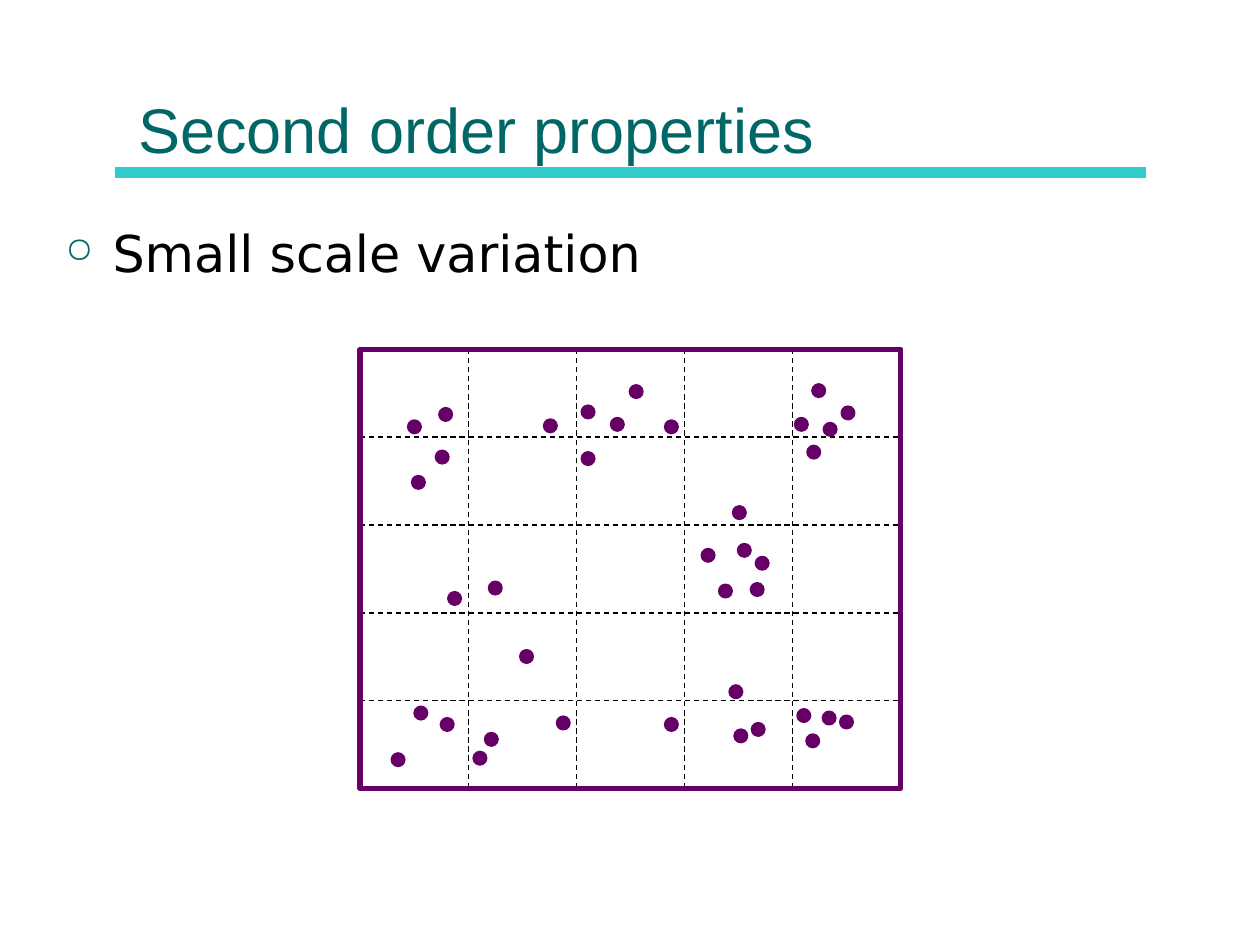
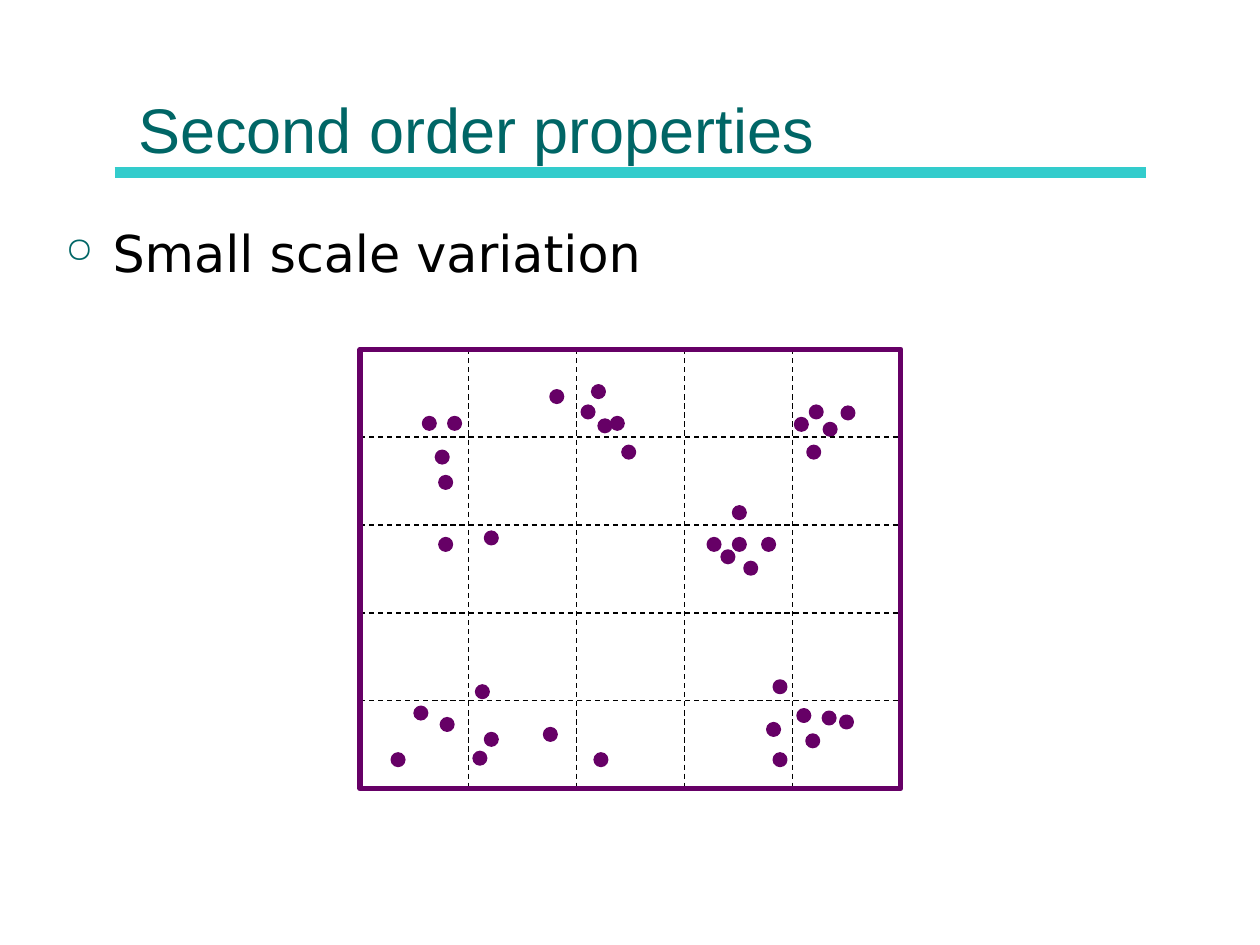
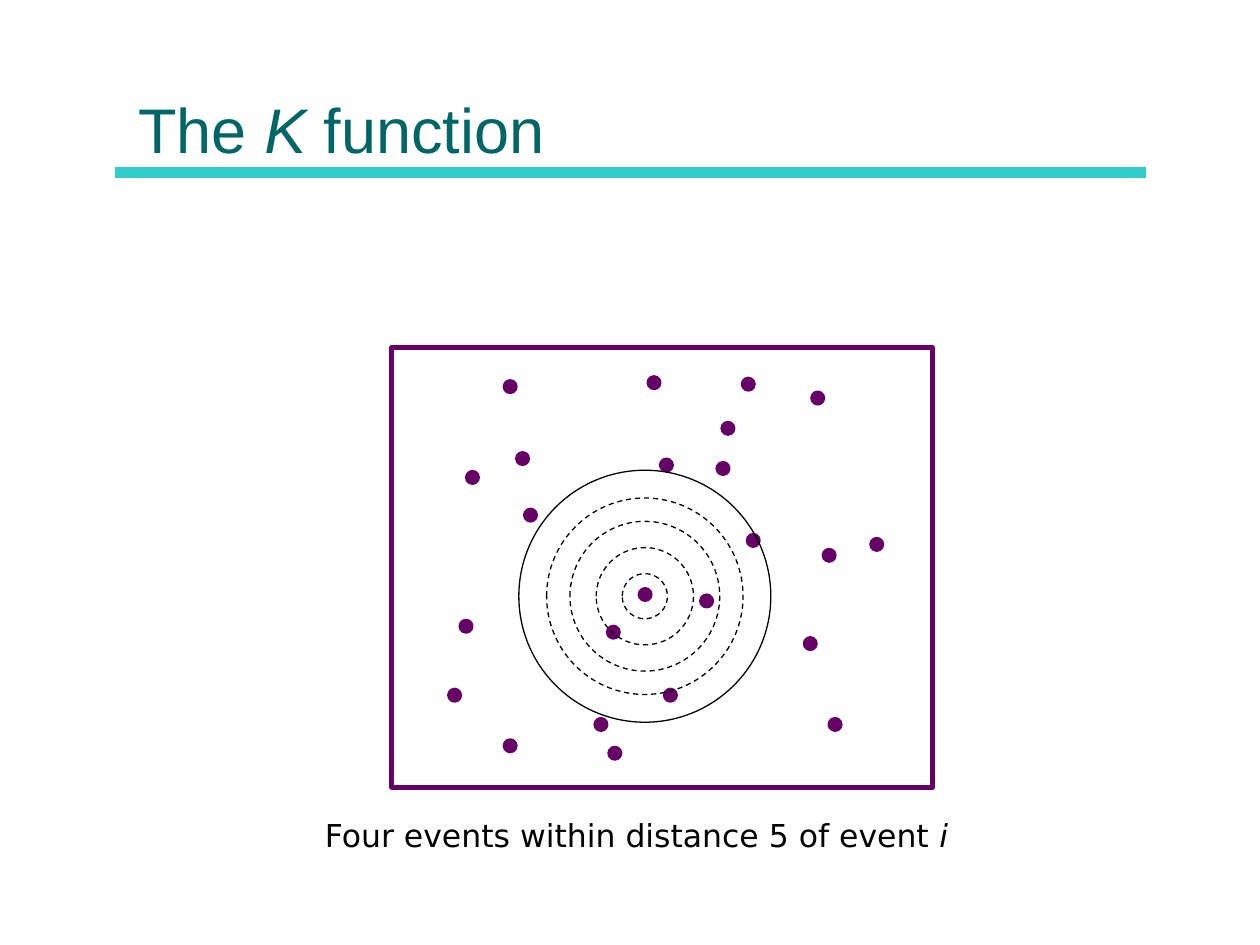
from dataclasses import dataclass
from typing import NamedTuple

from lxml.etree import SubElement
from pptx import Presentation
from pptx.dml.color import RGBColor
from pptx.enum.dml import MSO_LINE
from pptx.enum.shapes import MSO_CONNECTOR, MSO_SHAPE
from pptx.enum.text import MSO_ANCHOR, MSO_AUTO_SIZE
from pptx.oxml.ns import qn
from pptx.util import Cm, Pt


@dataclass(frozen=True)
class Theme:
    title_color: str = "006666"
    rule_color: str = "33CCCC"
    event_color: str = "660066"
    ink: str = "000000"
    title_font: str = "Arial"
    body_font: str = "DejaVu Sans"
    title_size: float = 36
    body_size: float = 29
    caption_size: float = 18
    rule_width: float = 6
    frame_width: float = 3
    event_width: float = 1.5
    thin_width: float = 0.75


THEME = Theme()


# Lengths in these records are centimetres
class Box(NamedTuple):
    left: float
    top: float
    width: float
    height: float

    def lengths(self) -> tuple:
        return tuple(Cm(value) for value in self)


class Point(NamedTuple):
    x: float
    y: float


class Span(NamedTuple):
    text: str
    italic: bool = False


class Ring(NamedTuple):
    diameter: float
    dashed: bool = True


TITLE_BOX = Box(2.54, 0.3, 20.32, 3.18)
BODY_BOX = Box(1.07, 4.34, 23.19, 11.43)
CAPTION_BOX = Box(6.3, 16.33, 13.18, 1.02)
GRID_FRAME = Box(7.26, 7.04, 10.9, 8.86)
K_FRAME = Box(7.9, 7.01, 10.9, 8.86)
GRID_CELLS = 5
EVENT_DIAMETER = 0.25
BULLET_INDENT = 0.95

# Top left corners of the event dots
SHARED_EVENTS = [
    (16.97, 8.2), (8.79, 9.09), (11.73, 8.18), (16.03, 8.43),
    (14.78, 10.21), (16.28, 8.99), (16.61, 8.53), (9.55, 15.16),
    (8.36, 14.25), (8.89, 14.48), (9.78, 14.78), (7.9, 15.19),
    (16.94, 14.43), (16.08, 14.3), (16.26, 14.81), (16.59, 14.35),
]
LOOSE_EVENTS = [
    (15.24, 11.23), (10.97, 8.46), (8.86, 8.23), (15.14, 11.76),
    (13.41, 8.48), (14.15, 11.07), (11.73, 9.12), (9.86, 11.73),
    (8.23, 8.48), (9.04, 11.94), (14.88, 10.97), (12.7, 7.77),
    (8.31, 9.6), (12.32, 8.43), (16.38, 7.75), (14.5, 11.79),
    (10.49, 13.11), (15.16, 14.58), (14.81, 14.71), (14.71, 13.82),
    (11.23, 14.45), (13.41, 14.48),
]
CLUSTERED_EVENTS = [
    (14.78, 10.85), (11.1, 7.87), (9.04, 8.41), (15.01, 11.33),
    (12.32, 8.41), (14.27, 10.85), (12.55, 8.99), (9.78, 10.72),
    (8.53, 8.41), (8.86, 10.85), (15.37, 10.85), (11.94, 7.77),
    (8.86, 9.6), (12.07, 8.46), (16.33, 8.18), (14.55, 11.1),
    (9.6, 13.82), (15.47, 14.58), (15.6, 15.19), (15.6, 13.72),
    (10.97, 14.68), (11.99, 15.19),
]
K_EVENTS = [
    (12.27, 15.06), (13.06, 7.59), (10.16, 7.67), (17.55, 10.85),
    (11.99, 14.48), (16.36, 7.9), (10.57, 10.26), (12.24, 12.62),
    (14.45, 9.32), (9.27, 12.5), (10.41, 9.12), (9.04, 13.89),
    (14.12, 11.99), (14.96, 7.62), (13.31, 9.25), (9.4, 9.5),
    (14.55, 8.51), (16.59, 11.07), (16.71, 14.48), (13.39, 13.89),
    (10.16, 14.91), (12.88, 11.86), (16.21, 12.85), (15.06, 10.77),
]
RING_CENTER = Point(13.0, 12.02)
RINGS = [Ring(5.08, dashed=False), Ring(3.96), Ring(3.02), Ring(1.96), Ring(0.91)]


# Drawing helpers
def style_line(line, color: str, width: float, dashed: bool = False) -> None:
    line.color.rgb = RGBColor.from_string(color)
    line.width = Pt(width)
    if dashed:
        line.dash_style = MSO_LINE.DASH


def add_line(slide, start: Point, end: Point, color: str, width: float,
             dashed: bool = False) -> None:
    connector = slide.shapes.add_connector(
        MSO_CONNECTOR.STRAIGHT, Cm(start.x), Cm(start.y), Cm(end.x), Cm(end.y))
    style_line(connector.line, color, width, dashed)
    SubElement(connector._element.spPr, qn("a:effectLst"))


def add_outline(shapes, kind: MSO_SHAPE, box: Box, color: str, width: float,
                fill: str | None = None, dashed: bool = False) -> None:
    shape = shapes.add_shape(kind, *box.lengths())
    shape.shadow.inherit = False
    if fill:
        shape.fill.solid()
        shape.fill.fore_color.rgb = RGBColor.from_string(fill)
    else:
        shape.fill.background()
    style_line(shape.line, color, width, dashed)


def add_bullet(paragraph) -> None:
    properties = paragraph._p.get_or_add_pPr()
    properties.set("marL", str(Cm(BULLET_INDENT)))
    properties.set("indent", str(-Cm(BULLET_INDENT)))
    spacing = SubElement(properties, qn("a:spcBef"))
    SubElement(spacing, qn("a:spcPct"), val="20000")
    color = SubElement(properties, qn("a:buClr"))
    SubElement(color, qn("a:srgbClr"), val=THEME.title_color)
    SubElement(properties, qn("a:buSzPct"), val="70000")
    SubElement(properties, qn("a:buChar"), char="○")


def add_text(slide, box: Box, *spans: Span, size: float,
             font: str = THEME.body_font, color: str = THEME.ink,
             anchor: MSO_ANCHOR = MSO_ANCHOR.TOP, wrap: bool = True,
             bullet: bool = False) -> None:
    frame = slide.shapes.add_textbox(*box.lengths()).text_frame
    frame.word_wrap = wrap
    frame.vertical_anchor = anchor
    if not wrap:
        frame.auto_size = MSO_AUTO_SIZE.SHAPE_TO_FIT_TEXT
    paragraph = frame.paragraphs[0]
    if bullet:
        add_bullet(paragraph)
    for span in spans:
        run = paragraph.add_run()
        run.text = span.text
        run.font.name = font
        run.font.size = Pt(size)
        run.font.italic = span.italic
        run.font.color.rgb = RGBColor.from_string(color)


# Parts of the slides
def add_titled_slide(deck, *title: Span):
    slide = deck.slides.add_slide(deck.slide_layouts[6])
    add_line(slide, Point(2.31, 3.48), Point(23.11, 3.48),
             THEME.rule_color, THEME.rule_width)
    add_text(slide, TITLE_BOX, *title, size=THEME.title_size,
             font=THEME.title_font, color=THEME.title_color,
             anchor=MSO_ANCHOR.BOTTOM)
    return slide


def add_events(slide, events: list[tuple[float, float]]) -> None:
    for left, top in events:
        add_outline(slide.shapes, MSO_SHAPE.OVAL,
                    Box(left, top, EVENT_DIAMETER, EVENT_DIAMETER),
                    THEME.event_color, THEME.event_width, fill=THEME.event_color)


def add_frame(slide, box: Box) -> None:
    add_outline(slide.shapes, MSO_SHAPE.RECTANGLE, box,
                THEME.event_color, THEME.frame_width)


def add_grid(slide, box: Box) -> None:
    right, bottom = box.left + box.width, box.top + box.height
    for step in range(1, GRID_CELLS):
        x = box.left + box.width * step / GRID_CELLS
        y = box.top + box.height * step / GRID_CELLS
        for start, end in ((Point(x, box.top), Point(x, bottom)),
                           (Point(box.left, y), Point(right, y))):
            add_line(slide, start, end, THEME.ink, THEME.thin_width, dashed=True)


def add_rings(slide) -> None:
    target = slide.shapes.add_group_shape()
    for ring in RINGS:
        radius = ring.diameter / 2
        add_outline(target.shapes, MSO_SHAPE.OVAL,
                    Box(RING_CENTER.x - radius, RING_CENTER.y - radius,
                        ring.diameter, ring.diameter),
                    THEME.ink, THEME.thin_width, dashed=ring.dashed)


def build_variation_slide(deck, events: list[tuple[float, float]]) -> None:
    slide = add_titled_slide(deck, Span("Second order properties"))
    add_text(slide, BODY_BOX, Span("Small scale variation"),
             size=THEME.body_size, bullet=True)
    add_events(slide, SHARED_EVENTS + events)
    add_grid(slide, GRID_FRAME)
    add_frame(slide, GRID_FRAME)


def build_k_function_slide(deck) -> None:
    slide = add_titled_slide(
        deck, Span("The "), Span("K", italic=True), Span(" function"))
    add_frame(slide, K_FRAME)
    add_events(slide, K_EVENTS)
    add_rings(slide)
    add_text(slide, CAPTION_BOX, Span("Four events within distance 5 of event "),
             Span("i", italic=True), size=THEME.caption_size, wrap=False)


def main() -> None:
    deck = Presentation()
    deck.slide_width, deck.slide_height = Cm(25.4), Cm(19.05)
    for events in (LOOSE_EVENTS, CLUSTERED_EVENTS):
        build_variation_slide(deck, events)
    build_k_function_slide(deck)
    deck.save("out.pptx")


if __name__ == "__main__":
    main()
